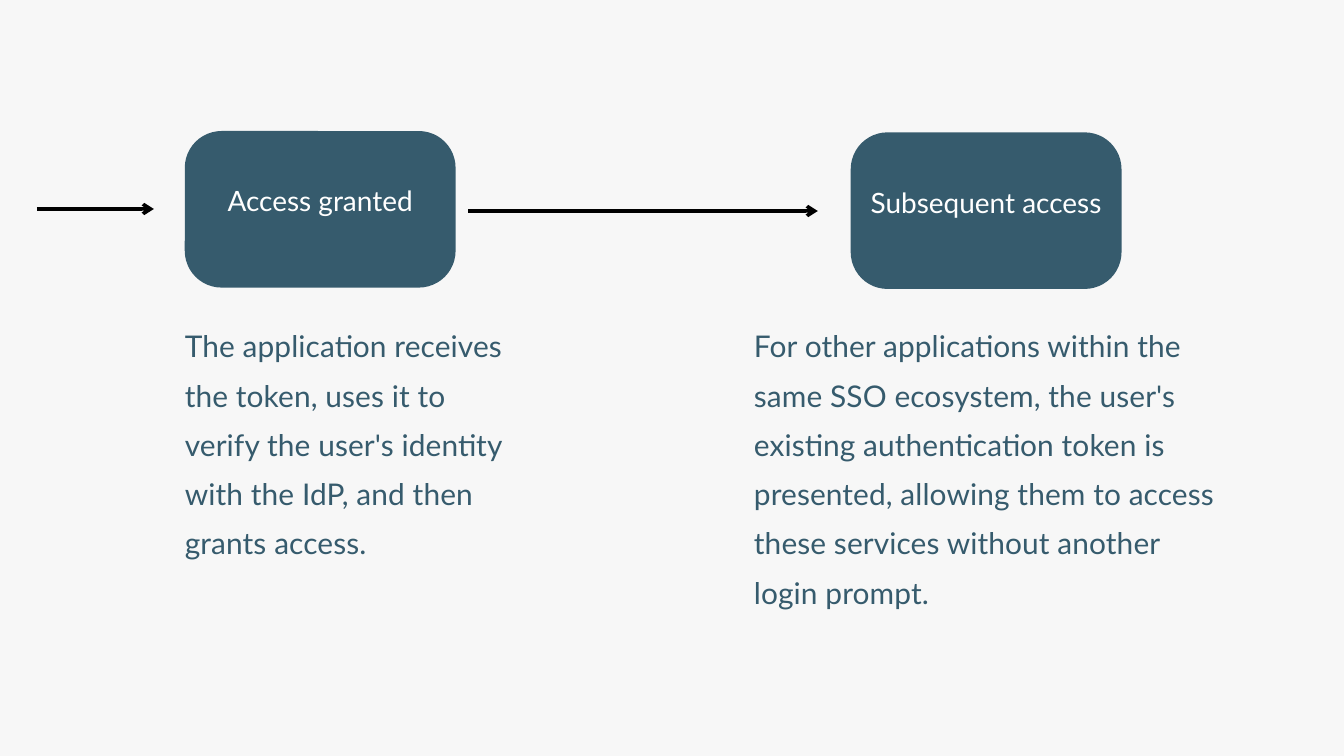
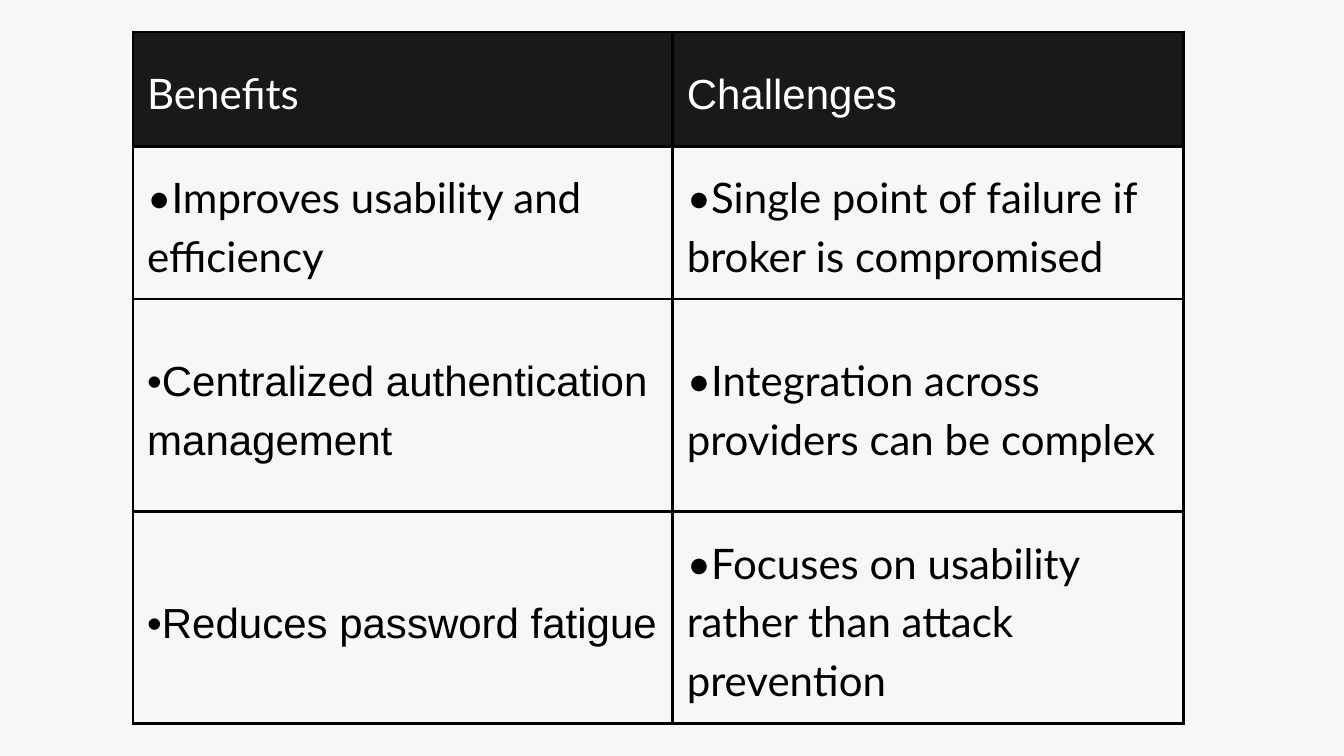
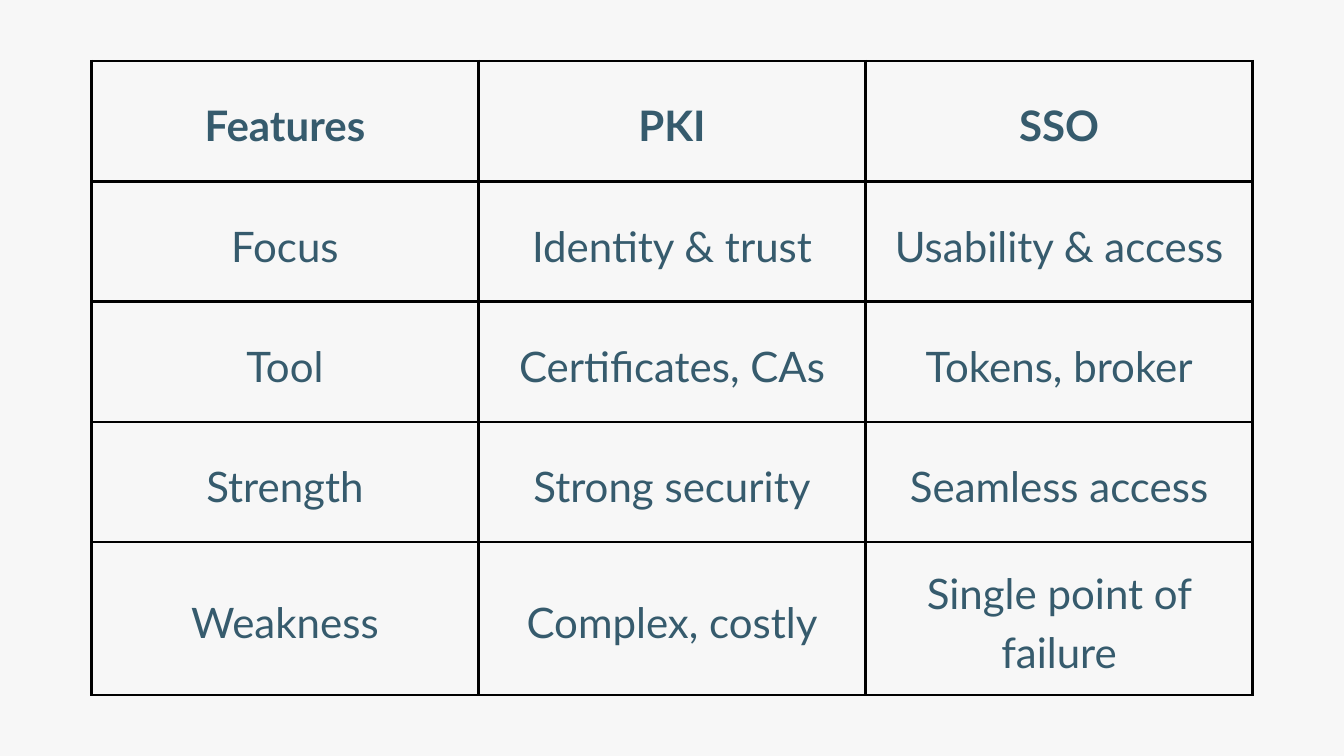
from lxml.etree import SubElement
from pptx import Presentation
from pptx.dml.color import RGBColor
from pptx.enum.shapes import MSO_CONNECTOR, MSO_SHAPE
from pptx.enum.text import MSO_ANCHOR, PP_ALIGN
from pptx.oxml.ns import qn
from pptx.util import Inches, Pt

WIDE, HIGH = 20, 11.25
PAPER = RGBColor(0xF7, 0xF7, 0xF7)
TEAL = RGBColor(0x36, 0x5B, 0x6D)
WHITE = RGBColor(0xFF, 0xFF, 0xFF)
BLACK = RGBColor(0, 0, 0)
DARK = RGBColor(0x19, 0x19, 0x19)
LATO, ARIAL = "Lato", "Arial"

STEP_W, STEP_H = 4.03, 2.33
NOTE_TOP = 4.68
PAD = 0.21

BENEFITS = [
    ("Benefits", "Challenges"),
    ("•Improves usability and efficiency",
     "•Single point of failure if broker is compromised"),
    ("•Centralized authentication management",
     "•Integration across providers can be complex"),
    ("•Reduces password fatigue",
     "•Focuses on usability rather than attack prevention"),
]
ARIAL_CELLS = {(0, 1), (2, 0), (3, 0)}

FEATURES = [
    ("Features", "PKI", "SSO"),
    ("Focus", "Identity & trust", "Usability & access"),
    ("Tool", "Certificates, CAs", "Tokens, broker"),
    ("Strength", "Strong security", "Seamless access"),
    ("Weakness", "Complex, costly", "Single point of failure"),
]


def write(frame, text, size=45, color=TEAL, font=LATO, bold=False,
          align=PP_ALIGN.LEFT, lead=63, track=0):
    """Fill a text frame; lead is line spacing and track letter spacing, in points."""
    para = frame.paragraphs[0]
    para.alignment = align
    para.line_spacing = Pt(lead)
    run = para.add_run()
    run.text = text
    run.font.size = Pt(size)
    run.font.name = font
    run.font.bold = bold
    run.font.color.rgb = color
    if track:
        run._r.get_or_add_rPr().set("spc", str(round(track * 100)))


def inset(item, left, top, right, bottom):
    item.margin_left, item.margin_top = Inches(left), Inches(top)
    item.margin_right, item.margin_bottom = Inches(right), Inches(bottom)


def add_page(deck):
    page = deck.slides.add_slide(deck.slide_layouts[6])
    page.background.fill.solid()
    page.background.fill.fore_color.rgb = PAPER
    return page


def add_step(page, left, top, text):
    box = page.shapes.add_shape(MSO_SHAPE.ROUNDED_RECTANGLE, Inches(left),
                                Inches(top), Inches(STEP_W), Inches(STEP_H))
    box.adjustments[0] = 0.235
    box.shadow.inherit = False
    box.fill.solid()
    box.fill.fore_color.rgb = TEAL
    box.line.fill.background()
    frame = box.text_frame
    frame.word_wrap = False
    frame.vertical_anchor = MSO_ANCHOR.MIDDLE
    inset(frame, 0.06, 0.06, 0.06, 0.4)
    write(frame, text, size=30, color=WHITE, align=PP_ALIGN.CENTER, lead=42)


def add_note(page, left, width, height, text):
    box = page.shapes.add_textbox(Inches(left), Inches(NOTE_TOP),
                                  Inches(width), Inches(height))
    box.text_frame.word_wrap = True
    inset(box.text_frame, 0, 0, 0, 0)
    write(box.text_frame, text, size=32, lead=52.8, track=0.1)


def add_arrow(page, start, end, level):
    line = page.shapes.add_connector(MSO_CONNECTOR.STRAIGHT, Inches(start),
                                     Inches(level), Inches(end), Inches(level))
    line.line.color.rgb = BLACK
    line.line.width = Pt(3.75)
    SubElement(line.line._get_or_add_ln(), qn("a:tailEnd"), type="arrow")
    SubElement(line._element.spPr, qn("a:effectLst"))


def add_border(cell):
    props = cell._tc.get_or_add_tcPr()
    for side in ("lnL", "lnR", "lnT", "lnB"):
        edge = SubElement(props, qn(f"a:{side}"), w=str(Pt(3)))
        fill = SubElement(edge, qn("a:solidFill"))
        SubElement(fill, qn("a:srgbClr"), val=str(BLACK))


def add_grid(page, top, cols, rows, data, style):
    """Draw a table; style(row, col) gives the cell's fill and text format."""
    left = 1.98 if len(cols) == 2 else (WIDE - sum(cols)) / 2
    table = page.shapes.add_table(len(rows), len(cols), Inches(left), Inches(top),
                                  Inches(sum(cols)), Inches(sum(rows))).table
    table.first_row = table.horz_banding = False
    for col, width in zip(table.columns, cols):
        col.width = Inches(width)
    for row, height in zip(table.rows, rows):
        row.height = Inches(height)
    for r, line in enumerate(data):
        for c, text in enumerate(line):
            cell = table.cell(r, c)
            fill, look = style(r, c)
            add_border(cell)
            if fill is None:
                cell.fill.background()
            else:
                cell.fill.solid()
                cell.fill.fore_color.rgb = fill
            cell.vertical_anchor = MSO_ANCHOR.MIDDLE
            inset(cell, PAD, PAD, PAD, PAD)
            write(cell.text_frame, text, **look)


def style_benefits(r, c):
    font = ARIAL if (r, c) in ARIAL_CELLS else LATO
    fill, color = (DARK, WHITE) if r == 0 else (None, BLACK)
    return fill, {"font": font, "color": color}


def style_features(r, c):
    return None, {"bold": r == 0, "align": PP_ALIGN.CENTER}


def main():
    deck = Presentation()
    deck.slide_width, deck.slide_height = Inches(WIDE), Inches(HIGH)

    page = add_page(deck)
    add_step(page, 2.75, 1.95, "Access granted")
    add_step(page, 12.66, 1.97, "Subsequent access")
    add_note(page, 2.75, 5.09, 3.6,
             "The application receives the token, uses it to verify the user's "
             "identity with the IdP, and then grants access.")
    add_note(page, 11.22, 6.93, 4.33,
             "For other applications within the same SSO ecosystem, the user's "
             "existing authentication token is presented, allowing them to access "
             "these services without another login prompt.")
    add_arrow(page, 0.55, 2.29, 3.11)
    add_arrow(page, 6.97, 12.17, 3.14)

    add_grid(add_page(deck), 0.48, [8.03, 7.6], [1.7, 2.27, 3.16, 3.16],
             BENEFITS, style_benefits)
    add_grid(add_page(deck), 0.91, [5.76] * 3, [1.79] * 4 + [2.27],
             FEATURES, style_features)
    deck.save("out.pptx")


if __name__ == "__main__":
    main()
